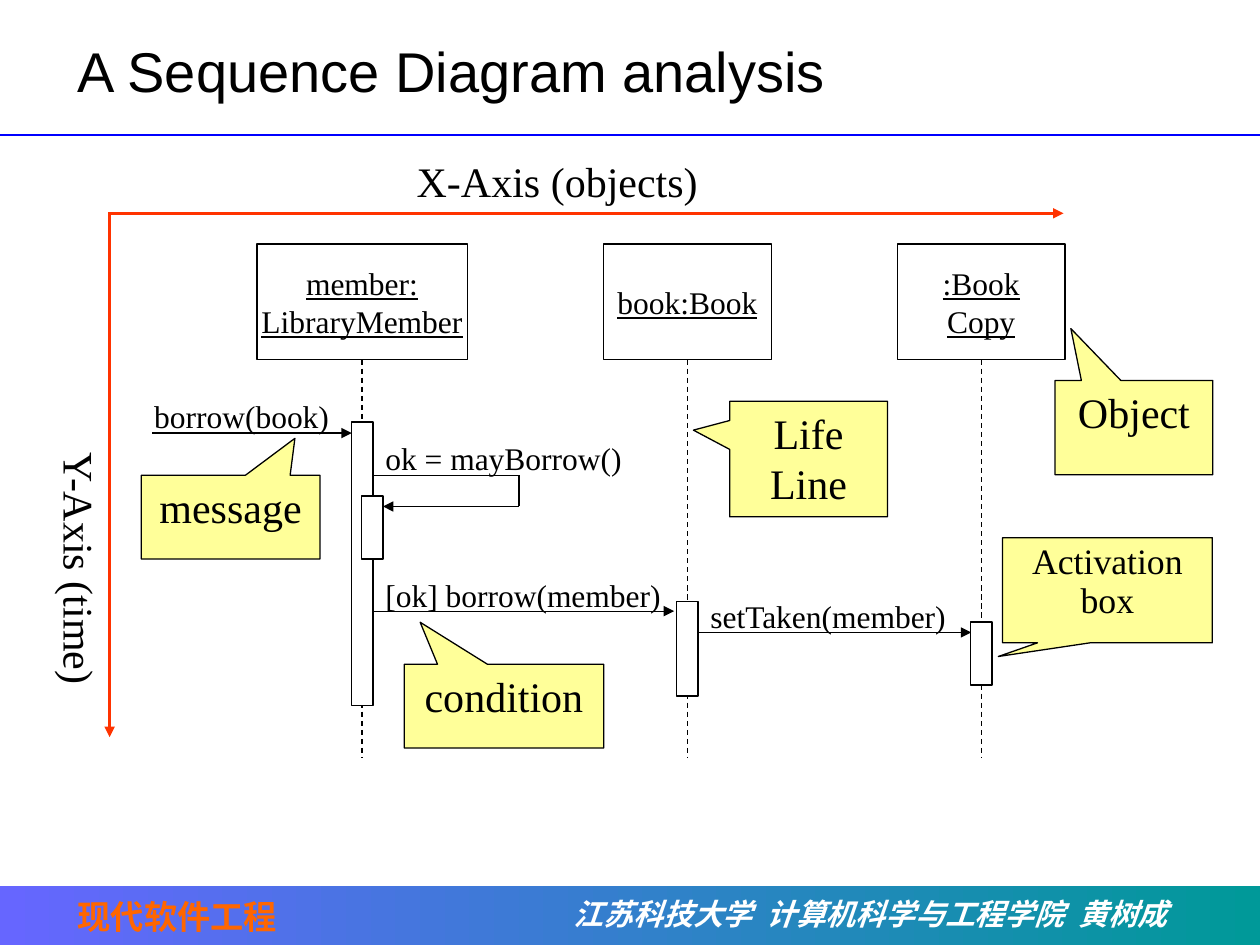
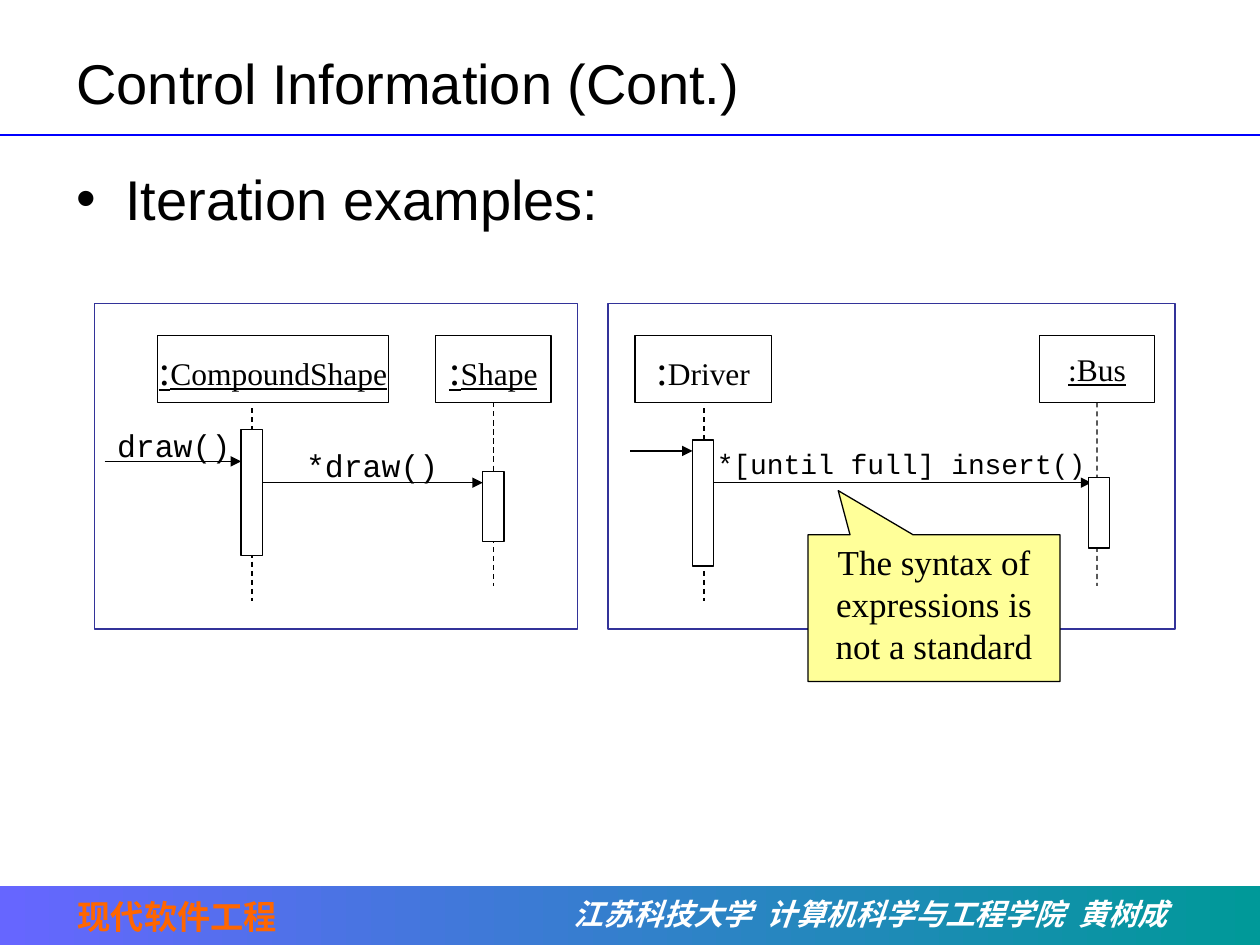
from dataclasses import dataclass

from lxml import etree
from pptx import Presentation
from pptx.dml.color import RGBColor
from pptx.enum.dml import MSO_LINE
from pptx.enum.shapes import MSO_CONNECTOR, MSO_SHAPE
from pptx.enum.text import MSO_ANCHOR, PP_ALIGN
from pptx.oxml.ns import qn
from pptx.util import Cm, Pt

RECT = MSO_SHAPE.RECTANGLE
CALLOUT = MSO_SHAPE.RECTANGULAR_CALLOUT
STRAIGHT = MSO_CONNECTOR.STRAIGHT
DASH = MSO_LINE.DASH
MIDDLE, TOP = MSO_ANCHOR.MIDDLE, MSO_ANCHOR.TOP
CENTER = PP_ALIGN.CENTER

BLACK = RGBColor(0, 0, 0)
WHITE = RGBColor(255, 255, 255)
BLUE = RGBColor(0, 0, 255)
NAVY = RGBColor(0x33, 0x33, 0x99)
RED = RGBColor(0xFF, 0x33, 0)
ORANGE = RGBColor(0xFF, 0x66, 0)
YELLOW = RGBColor(0xFF, 0xFF, 0x99)
VIOLET = RGBColor(0x66, 0x66, 0xFF)
TEAL = RGBColor(0, 0x99, 0x99)

SERIF, SANS, MONO = "Times New Roman", "Arial", "Courier New"
THIN = 0.75
BAR_WIDTH = 0.43


@dataclass
class Run:
    text: str
    size: float = 18
    font: str = SERIF
    color: RGBColor = BLACK
    bold: bool = False
    italic: bool = False
    under: bool = False


@dataclass
class Box:
    left: float
    top: float
    width: float
    height: float


@dataclass
class Head:
    """An object box; its life line hangs from the box unless start says where."""
    box: Box
    runs: list[Run]
    end: float
    start: tuple[float, float] | None = None


@dataclass
class Bar:
    left: float
    top: float
    height: float


@dataclass
class Arrow:
    x1: float
    y1: float
    x2: float
    y2: float
    color: RGBColor = BLACK
    width: float = THIN
    tip: bool = True


@dataclass
class Label:
    box: Box
    run: Run
    upright: bool = False


@dataclass
class Note:
    box: Box
    run: Run
    tip: tuple[float, float]
    spacing: float = 1


def cm(box: Box) -> tuple:
    return Cm(box.left), Cm(box.top), Cm(box.width), Cm(box.height)


def write(para, runs: list[Run]) -> None:
    for item in runs:
        for i, line in enumerate(item.text.split("\n")):
            if i:
                para.add_line_break()
            run = para.add_run()
            run.text = line
            font = run.font
            font.name, font.size = item.font, Pt(item.size)
            font.color.rgb = item.color
            font.bold, font.italic = item.bold, item.italic
            font.underline = item.under


def add_box(slide, box: Box, kind=RECT, fill=None, line=BLACK):
    shape = slide.shapes.add_shape(kind, *cm(box))
    shape.shadow.inherit = False
    if fill is None:
        shape.fill.background()
    else:
        shape.fill.solid()
        shape.fill.fore_color.rgb = fill
    if line is None:
        shape.line.fill.background()
    else:
        shape.line.color.rgb = line
        shape.line.width = Pt(THIN)
    return shape


def add_text(slide, box: Box, run: Run):
    shape = slide.shapes.add_textbox(*cm(box))
    shape.text_frame.word_wrap = True
    write(shape.text_frame.paragraphs[0], [run])
    return shape


def add_line(slide, arrow: Arrow, dash: bool = False):
    line = slide.shapes.add_connector(
        STRAIGHT, Cm(arrow.x1), Cm(arrow.y1), Cm(arrow.x2), Cm(arrow.y2))
    line.line.color.rgb = arrow.color
    line.line.width = Pt(arrow.width)
    if dash:
        line.line.dash_style = DASH
    if arrow.tip:
        etree.SubElement(line.get_or_add_ln(), qn("a:tailEnd"), type="triangle")
    etree.SubElement(line.element.spPr, qn("a:effectLst"))
    return line


def set_tabs(para, stops: list[float]) -> None:
    tabs = etree.SubElement(para._p.get_or_add_pPr(), qn("a:tabLst"))
    for stop in stops:
        etree.SubElement(tabs, qn("a:tab"), pos=str(Cm(stop)), algn="l")


def add_head(slide, head: Head) -> None:
    shape = add_box(slide, head.box)
    frame = shape.text_frame
    frame.word_wrap = False
    frame.vertical_anchor = MIDDLE
    para = frame.paragraphs[0]
    para.alignment = CENTER
    write(para, head.runs)
    box = head.box
    x, y = head.start or (box.left + box.width / 2, box.top + box.height)
    line = add_line(slide, Arrow(x, y, x, head.end, tip=False), dash=True)
    if head.start is None:
        line.begin_connect(shape, 2)


def add_label(slide, label: Label) -> None:
    shape = add_text(slide, label.box, label.run)
    if label.upright:
        frame = shape.text_frame
        shape.element.txBody.bodyPr.set("vert", "eaVert")
        frame.margin_left = frame.margin_right = Cm(0.13)
        frame.margin_top = frame.margin_bottom = Cm(0.25)


def add_note(slide, note: Note) -> None:
    shape = add_box(slide, note.box, CALLOUT, YELLOW)
    shape.adjustments[0], shape.adjustments[1] = note.tip
    shape.text_frame.word_wrap = True
    shape.text_frame.vertical_anchor = TOP
    para = shape.text_frame.paragraphs[0]
    para.alignment = CENTER
    para.line_spacing = note.spacing
    write(para, [note.run])


def add_page(deck, title: str, box: Box):
    """Add a slide with the shared rule, footer band and title."""
    slide = deck.slides.add_slide(deck.slide_layouts[6])
    add_line(slide, Arrow(0, 2.72, 25.4, 2.72, BLUE, 1.5, tip=False))
    band = add_box(slide, Box(0, 17.86, 25.4, 1.19), line=None)
    band.fill.gradient()
    band.fill.gradient_angle = 0
    for stop, color in zip(band.fill.gradient_stops, (VIOLET, TEAL)):
        stop.color.rgb = color
    school = slide.shapes.add_textbox(*cm(Box(11.32, 17.93, 13, 0.99)))
    school.text_frame.word_wrap = True
    para = school.text_frame.paragraphs[0]
    set_tabs(para, [3.88, 10.17])
    write(para, [Run("江苏科技大学\t计算机科学与工程学院\t黄树成", 17,
                     color=WHITE, bold=True, italic=True)])
    add_text(slide, Box(1.32, 17.95, 7.49, 1.07),
             Run("现代软件工程", 19, color=ORANGE, bold=True))
    head = add_text(slide, box, Run(title, 32, SANS))
    head.text_frame.vertical_anchor = MIDDLE
    return slide


def draw(slide, heads: list[Head], arrows: list[Arrow], bars: list[Bar],
         labels: list[Label], notes: list[Note]) -> None:
    for head in heads:
        add_head(slide, head)
    for arrow in arrows:
        add_line(slide, arrow)
    for bar in bars:
        add_box(slide, Box(bar.left, bar.top, BAR_WIDTH, bar.height), fill=WHITE)
    for label in labels:
        add_label(slide, label)
    for note in notes:
        add_note(slide, note)


def add_analysis(deck) -> None:
    slide = add_page(deck, "A Sequence Diagram analysis", Box(1.32, 0.53, 22.66, 1.78))
    heads = [
        Head(Box(left, 4.92, width, 2.33), [Run(text, under=True)], 15.29)
        for left, width, text in (
            (5.18, 4.24, "member:\nLibraryMember"),
            (12.17, 3.38, "book:Book"),
            (18.09, 3.38, ":Book\nCopy"))]
    arrows = [
        Arrow(3.07, 8.73, 7.09, 8.73),
        Arrow(7.52, 9.58, 10.46, 9.58, tip=False),
        Arrow(10.46, 9.58, 10.46, 10.21, tip=False),
        Arrow(10.46, 10.21, 7.72, 10.21),
        Arrow(7.52, 12.32, 13.59, 12.32),
        Arrow(14.07, 12.75, 19.58, 12.75),
        Arrow(2.18, 4.3, 21.44, 4.3, RED, 1.75),
        Arrow(2.21, 4.3, 2.21, 14.86, RED, 2),
    ]
    bars = [Bar(7.09, 8.51, 5.72), Bar(7.29, 10, 1.27),
            Bar(13.64, 12.12, 1.91), Bar(19.57, 12.54, 1.27)]
    labels = [
        Label(Box(left, top, width, 1.02), Run(text))
        for left, top, width, text in (
            (2.86, 7.87, 4.6, "borrow(book)"),
            (7.52, 8.73, 5.8, "ok = mayBorrow()"),
            (7.52, 11.48, 6.6, "[ok] borrow(member)"),
            (14.07, 11.91, 5.8, "setTaken(member)"))]
    labels += [
        Label(Box(8.15, 3.02, 6.8, 1.27), Run("X-Axis (objects)", 24)),
        Label(Box(0.74, 8.87, 1.52, 5.6), Run("Y-Axis (time)", 24), upright=True),
    ]
    notes = [
        Note(Box(21.27, 7.67, 3.18, 1.9), Run("Object", 24), (-0.4, -1.05)),
        Note(Box(14.71, 8.09, 3.18, 2.33), Run("Life Line", 24), (-0.73, -0.25)),
        Note(Box(2.85, 9.58, 3.6, 1.69), Run("message", 24), (0.36, -0.94)),
        Note(Box(20.21, 10.84, 4.23, 2.12), Run("Activation box", 20.4),
             (-0.52, 0.63), 0.9),
        Note(Box(8.15, 13.39, 4.02, 1.69), Run("condition", 24), (-0.42, -1)),
    ]
    draw(slide, heads, arrows, bars, labels, notes)


def add_control(deck) -> None:
    slide = add_page(deck, "Control Information (Cont.)", Box(1.29, 0.76, 22.66, 1.78))
    body = slide.shapes.add_textbox(*cm(Box(1.29, 3.19, 22.86, 2.36)))
    body.text_frame.word_wrap = True
    para = body.text_frame.paragraphs[0]
    props = para._p.get_or_add_pPr()
    props.set("marL", str(Cm(0.99)))
    props.set("indent", str(Cm(-0.99)))
    etree.SubElement(props, qn("a:buFont"), typeface=SANS)
    etree.SubElement(props, qn("a:buChar"), char="•")
    write(para, [Run("Iteration examples:", 32, SANS)])

    for left, width in ((1.9, 9.74), (12.26, 11.43)):
        add_box(slide, Box(left, 6.12, width, 6.56), line=NAVY)
    heads = [
        Head(Box(left, 6.76, width, 1.35), runs, end, start)
        for left, width, runs, end, start in (
            (3.18, 4.65, [Run(":", 24, under=True), Run("CompoundShape", under=True)],
             12.12, (5.08, 8.23)),
            (8.78, 2.33, [Run(":", 24, under=True), Run("Shape", under=True)],
             11.81, None),
            (12.8, 2.75, [Run(":", 24), Run("Driver")], 12.12, (14.19, 8.23)),
            (20.95, 2.33, [Run(":Bus", under=True)], 11.81, None))]
    arrows = [
        Arrow(2.11, 9.3, 4.86, 9.3),
        Arrow(5.29, 9.73, 9.73, 9.73),
        Arrow(12.7, 9.09, 13.96, 9.09),
        Arrow(14.39, 9.73, 22, 9.73),
    ]
    bars = [Bar(4.86, 8.66, 2.54), Bar(9.73, 9.5, 1.42),
            Bar(13.96, 8.87, 2.54), Bar(21.94, 9.63, 1.42)]
    labels = [
        Label(Box(2.11, 8.46, 3.4, 1.02), Run("draw()", 18, MONO)),
        Label(Box(5.92, 8.87, 3.8, 1.02), Run("*draw()", 18, MONO)),
        Label(Box(14.2, 8.87, 8.6, 0.94), Run("*[until full] insert()", 16, MONO)),
    ]
    notes = [Note(Box(16.29, 10.78, 5.08, 2.96),
                  Run("The syntax of expressions is not a standard", 20),
                  (-0.38, -0.8))]
    draw(slide, heads, arrows, bars, labels, notes)


def main() -> None:
    deck = Presentation()
    deck.slide_width, deck.slide_height = Cm(25.4), Cm(19.05)
    add_analysis(deck)
    add_control(deck)
    deck.save("out.pptx")


if __name__ == "__main__":
    main()
